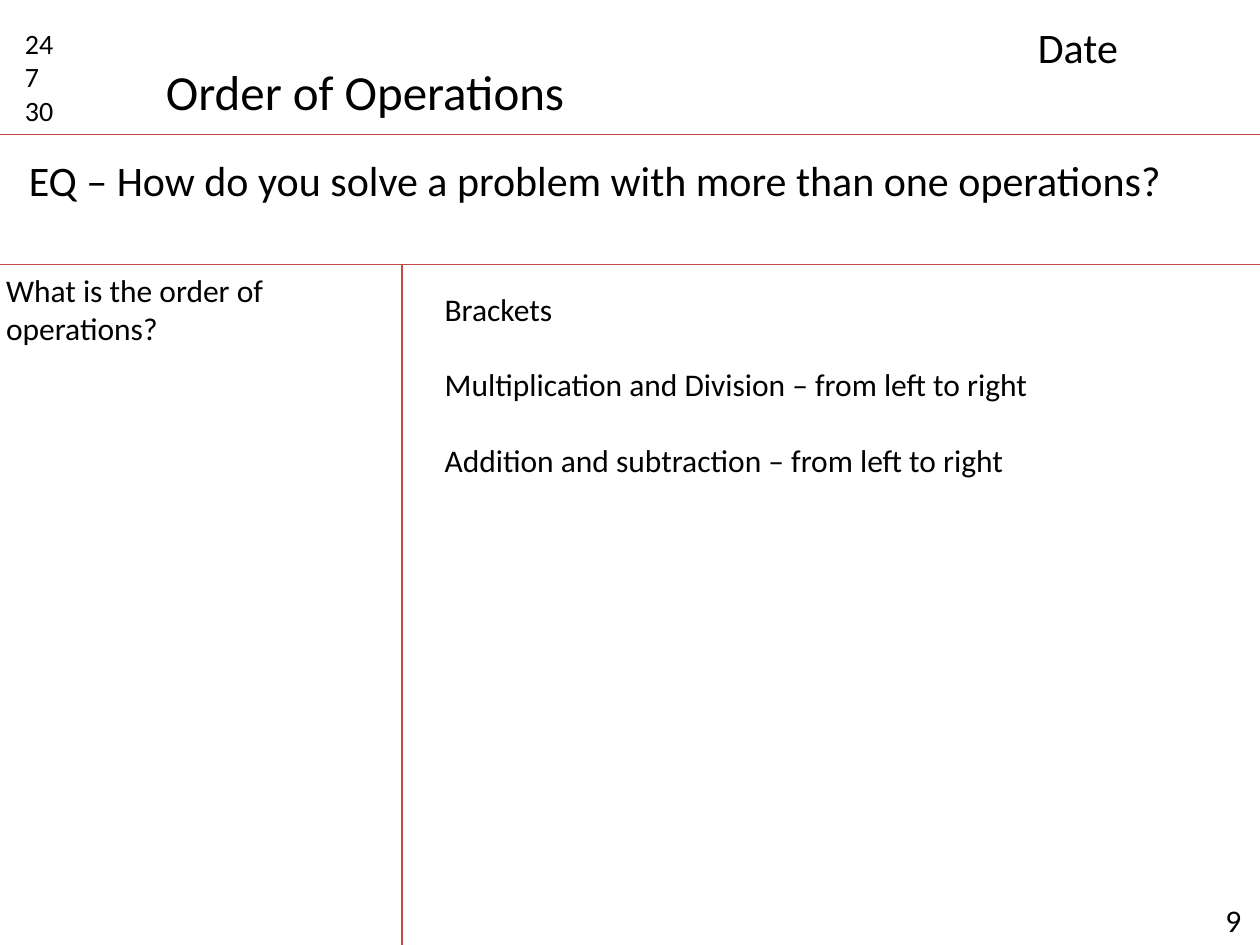
from lxml import etree
from pptx import Presentation
from pptx.dml.color import RGBColor
from pptx.enum import shapes
from pptx.oxml import ns
from pptx.util import Pt

COLORS = {"text": "000000", "rule": "BF4C48"}
FONT = "Calibri"


def add_text(slide, box, lines, size, wrap=True, gap=0, indent=7.2):
    frame = slide.shapes.add_textbox(*map(Pt, box)).text_frame
    frame.word_wrap = wrap
    frame.margin_left = Pt(indent)
    frame.text = "\n".join(lines)
    for index, paragraph in enumerate(frame.paragraphs):
        if index:
            paragraph.space_before = Pt(gap)
        for run in paragraph.runs:
            run.font.name = FONT
            run.font.size = Pt(size)
            run.font.color.rgb = RGBColor.from_string(COLORS["text"])


def add_rule(slide, start, end):
    rule = slide.shapes.add_connector(
        shapes.MSO_CONNECTOR.STRAIGHT, *map(Pt, start + end))
    rule.line.color.rgb = RGBColor.from_string(COLORS["rule"])
    rule.line.width = Pt(0.75)
    etree.SubElement(rule._element.spPr, ns.qn("a:effectLst"))


def add_header(slide, left, top, width, height):
    add_text(slide, (left + 7.2, top + 11.5, 45.4, 65.5), ["24", "7", "30"], 16)
    add_text(slide, (left + 87.8, top + 31.7, 244.8, 41),
             ["Order of Operations"], 28, wrap=False)
    add_text(slide, (left + 586, top + 8.6, 124.6, 36), ["Date"], 24)
    add_rule(slide, (left, top + height), (left + width, top + height))


def add_question(slide, left, top, width, height):
    add_text(slide, (left + 9.4, top + 8, 679, 36),
             ["EQ – How do you solve a problem with more than one operations?"], 24)
    add_rule(slide, (left, top + height), (left + width, top + height))


def add_notes(slide, left, top, width, height):
    divider = left + 229.7
    add_rule(slide, (divider, top), (divider, top + height))
    add_text(slide, (left - 3.6, top, 221.8, 51),
             ["What is the order of operations?"], 18)
    add_text(slide, (divider + 17.3, top + 10.8, 352, 160),
             ["Brackets",
              "Multiplication and Division – from left to right",
              "Addition and subtraction – from left to right"],
             18, wrap=False, gap=21.6)
    add_text(slide, (left + width - 31, top + 360, 43.2, 28.8), ["9"], 18,
             indent=11.3)


def main():
    deck = Presentation()
    deck.slide_width, deck.slide_height = Pt(720), Pt(540)
    slide = deck.slides.add_slide(deck.slide_layouts[6])
    add_header(slide, 0, 0, 720, 77)
    add_question(slide, 0, 77, 720, 74.2)
    add_notes(slide, 0, 151.2, 720, 402.5)
    deck.save("out.pptx")


if __name__ == "__main__":
    main()
